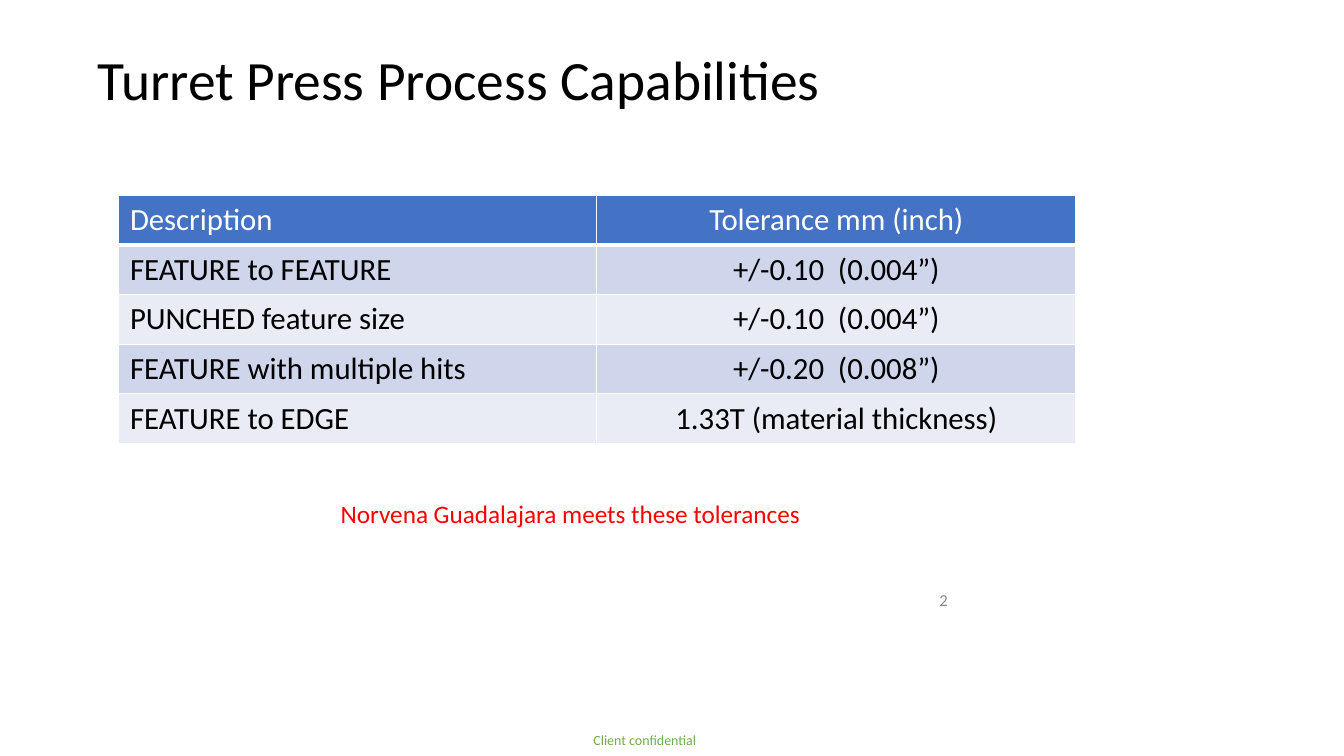
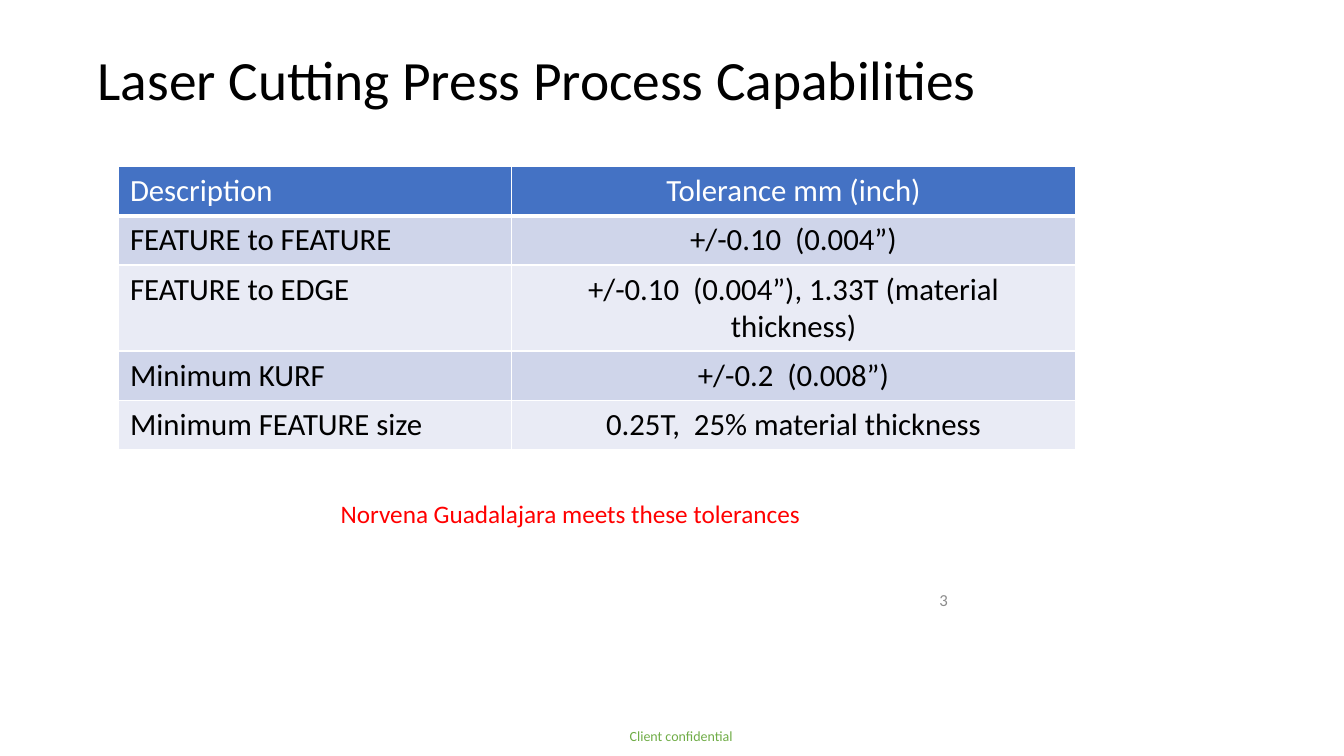
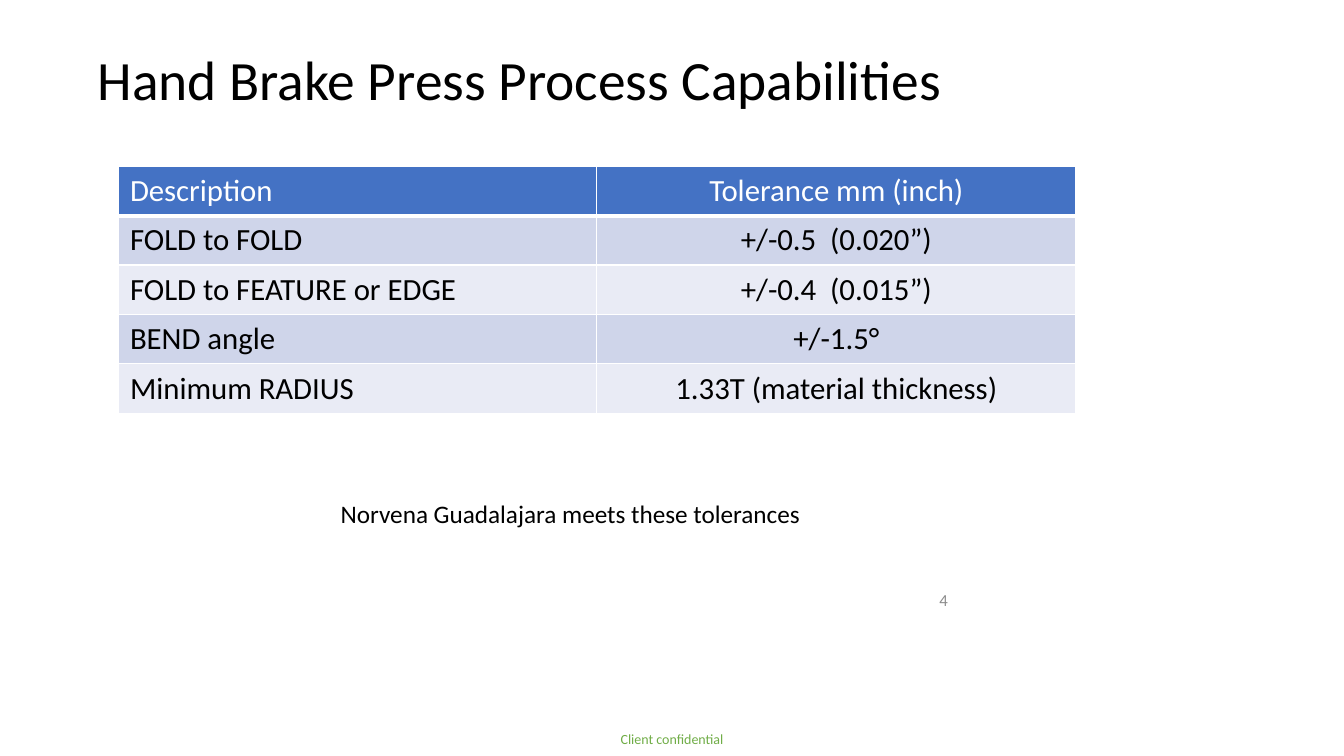
"""Build three slides of press process tolerances, each with a table, a remark and a footer."""
from lxml import etree
from pptx import Presentation
from pptx.dml.color import RGBColor
from pptx.enum.text import MSO_ANCHOR, PP_ALIGN
from pptx.oxml.ns import qn
from pptx.util import Inches, Pt

LEFT, CENTER, RIGHT = PP_ALIGN.LEFT, PP_ALIGN.CENTER, PP_ALIGN.RIGHT
TOP, MIDDLE = MSO_ANCHOR.TOP, MSO_ANCHOR.MIDDLE

FONT = "Calibri"
COLORS = {
    "text": "000000", "alert": "FF0000", "number": "8C8C8C", "footer": "70AD47",
    "header": "4472C4", "odd": "CFD5EA", "even": "E9EBF5", "white": "FFFFFF",
}
STYLES = {
    "title": {"size": 39.6, "color": "text", "align": LEFT, "anchor": MIDDLE, "spacing": 0.9},
    "remark": {"size": 18, "color": "text", "align": LEFT, "anchor": TOP, "spacing": 1.0},
    "number": {"size": 12, "color": "number", "align": RIGHT, "anchor": MIDDLE, "spacing": 1.0},
    "footer": {"size": 10, "color": "footer", "align": CENTER, "anchor": MIDDLE, "spacing": 1.0},
}
TITLE_AREA = (0.87, 0.48, 11.6, 0.67)
REMARK_AREA = (3.28, 4.89, 5.67, 0.71)
NUMBER_AREA = (7.17, 5.79, 2.33, 0.33)
FOOTER_SIZE = (3.17, 0.33)
TABLE_LEFT, TABLE_WIDTH, ROW_HEIGHT, CELL_SIZE = 1.17, 9.5, 0.49, 22
CELL_MARGINS = {"margin_left": 0.12, "margin_right": 0.12, "margin_top": 0.06, "margin_bottom": 0.06}

REMARK = "Norvena Guadalajara meets these tolerances"
FOOTER = "Client confidential"
HEADINGS = ("Description", "Tolerance mm (inch)")
SLIDES = [
    {
        "title": "Turret Press Process Capabilities",
        "table_top": 1.94, "first_column": 4.75, "footer_at": (4.81, 7.18), "remark_color": "alert",
        "rows": [
            ("FEATURE to FEATURE", "+/-0.10  (0.004”)"),
            ("PUNCHED feature size", "+/-0.10  (0.004”)"),
            ("FEATURE with multiple hits", "+/-0.20  (0.008”)"),
            ("FEATURE to EDGE", "1.33T (material thickness)"),
        ],
    },
    {
        "title": "Laser Cutting Press Process Capabilities",
        "table_top": 1.65, "first_column": 3.9, "footer_at": (5.17, 7.14), "remark_color": "alert",
        "rows": [
            ("FEATURE to FEATURE", "+/-0.10  (0.004”)"),
            ("FEATURE to EDGE", "+/-0.10  (0.004”), 1.33T (material thickness)"),
            ("Minimum KURF", "+/-0.2  (0.008”)"),
            ("Minimum FEATURE size", "0.25T,  25% material thickness"),
        ],
    },
    {
        "title": "Hand Brake Press Process Capabilities",
        "table_top": 1.65, "first_column": 4.75, "footer_at": (5.08, 7.17), "remark_color": "text",
        "rows": [
            ("FOLD to FOLD", "+/-0.5  (0.020”)"),
            ("FOLD to FEATURE or EDGE", "+/-0.4  (0.015”)"),
            ("BEND angle", "+/-1.5°"),
            ("Minimum RADIUS", "1.33T (material thickness)"),
        ],
    },
]


def rgb(name):
    return RGBColor.from_string(COLORS[name])


def write(frame, text, size, color, align):
    para = frame.paragraphs[0]
    para.alignment = align
    span = para.add_run()
    span.text = text
    for key, value in {"name": FONT, "size": Pt(size), "bold": False}.items():
        setattr(span.font, key, value)
    span.font.color.rgb = rgb(color)
    return para


def add_text(page, area, text, style, color=None):
    look = STYLES[style]
    frame = page.shapes.add_textbox(*map(Inches, area)).text_frame
    frame.word_wrap = True
    frame.vertical_anchor = look["anchor"]
    para = write(frame, text, look["size"], color or look["color"], look["align"])
    para.line_spacing = look["spacing"]


def add_borders(cell, bottom):
    properties = cell._tc.get_or_add_tcPr()
    for side, width in {"lnL": 1, "lnR": 1, "lnT": 1, "lnB": bottom}.items():
        line = etree.SubElement(properties, qn(f"a:{side}"), w=str(Pt(width)))
        fill = etree.SubElement(line, qn("a:solidFill"))
        etree.SubElement(fill, qn("a:srgbClr"), val=COLORS["white"])


def add_tolerances(page, top, first_column, rows):
    lines = [HEADINGS, *rows]
    area = (TABLE_LEFT, top, TABLE_WIDTH, ROW_HEIGHT * len(lines))
    table = page.shapes.add_table(len(lines), len(HEADINGS), *map(Inches, area)).table
    for column, width in zip(table.columns, (first_column, TABLE_WIDTH - first_column)):
        column.width = Inches(width)
    for row, texts in enumerate(lines):
        is_header = row == 0
        band = "header" if is_header else ("even", "odd")[row % 2]
        for column, (text, align) in enumerate(zip(texts, (LEFT, CENTER))):
            cell = table.cell(row, column)
            for key, value in CELL_MARGINS.items():
                setattr(cell, key, Inches(value))
            add_borders(cell, 3 if is_header else 1)
            cell.fill.solid()
            cell.fill.fore_color.rgb = rgb(band)
            write(cell.text_frame, text, CELL_SIZE, "white" if is_header else "text", align)


def main():
    deck = Presentation()
    deck.slide_width, deck.slide_height = Inches(13.33), Inches(7.5)
    for number, content in enumerate(SLIDES, start=2):
        page = deck.slides.add_slide(deck.slide_layouts[6])
        add_tolerances(page, content["table_top"], content["first_column"], content["rows"])
        add_text(page, TITLE_AREA, content["title"], "title")
        add_text(page, NUMBER_AREA, str(number), "number")
        add_text(page, content["footer_at"] + FOOTER_SIZE, FOOTER, "footer")
        add_text(page, REMARK_AREA, REMARK, "remark", content["remark_color"])
    deck.save("out.pptx")


if __name__ == "__main__":
    main()
